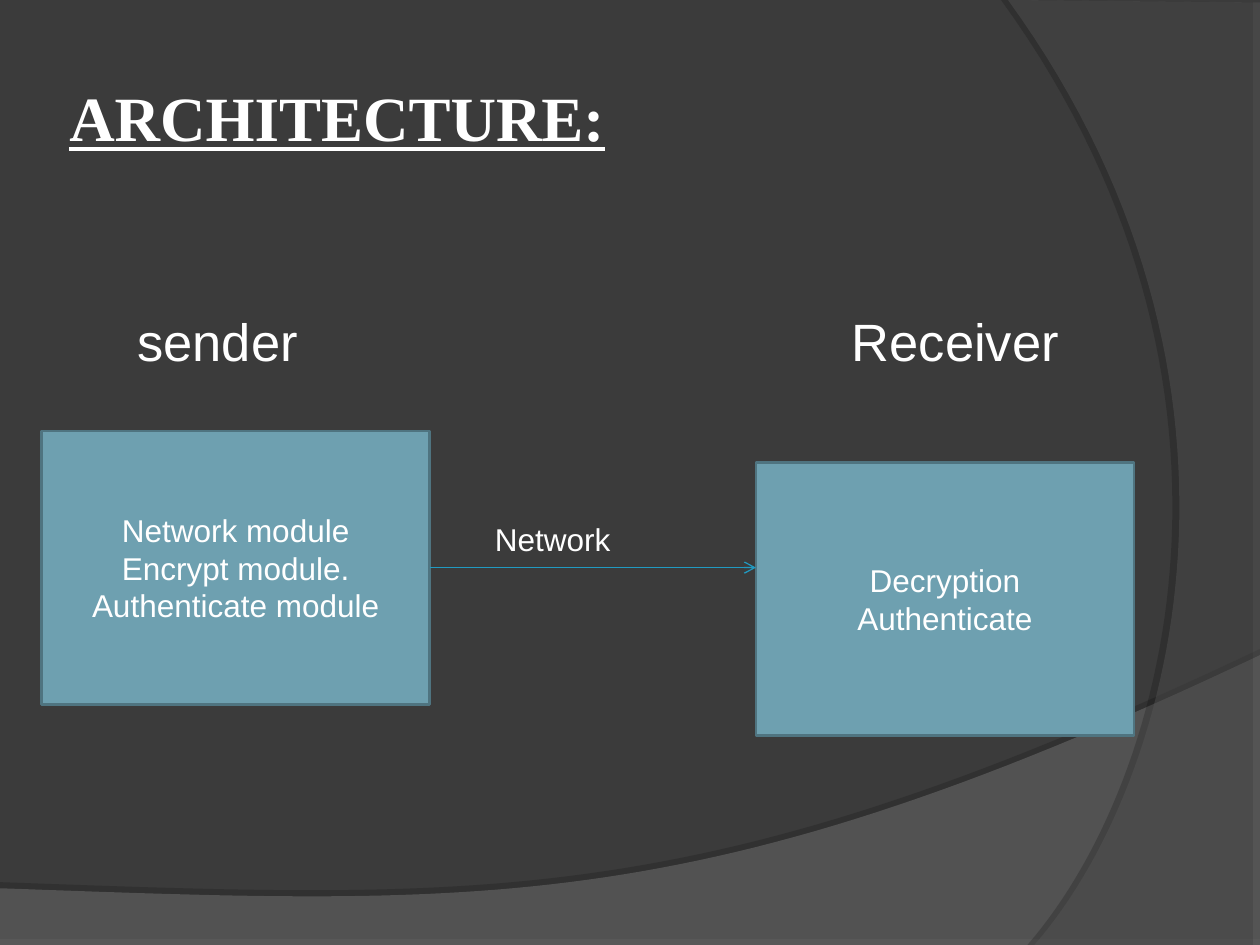
import pptx
import pptx.dml.color
import pptx.enum.shapes
import pptx.enum.text
import pptx.oxml
import pptx.oxml.ns
import pptx.util

Inches = pptx.util.Inches
Pt = pptx.util.Pt
RGBColor = pptx.dml.color.RGBColor
ALIGN = pptx.enum.text.PP_ALIGN
ANCHOR = pptx.enum.text.MSO_ANCHOR

BACKGROUND = RGBColor(0x3B, 0x3B, 0x3B)
LOWER_WAVE = RGBColor(0x7C, 0x7C, 0x7C)
RIGHT_ARC = RGBColor(0x59, 0x59, 0x59)
BOX_FILL = RGBColor(0x6E, 0xA0, 0xB0)
BOX_LINE = RGBColor(0x4F, 0x74, 0x80)
ARROW = RGBColor(0x21, 0x9A, 0xC1)
WHITE = RGBColor(0xFF, 0xFF, 0xFF)

# Content; places are left, top, width, height in inches
TITLE = ("ARCHITECTURE:", (0.5, 0.3, 8.17, 1.25))
HEADINGS = [("sender", (1.09, 2.45, 2, 0.5)), ("Receiver", (6.76, 2.45, 2, 0.5))]
SENDER = ("Network module\nEncrypt module.\nAuthenticate module", (0.33, 3.42, 3.08, 2.17))
RECEIVER = ("Decryption\nAuthenticate", (6, 3.67, 3, 2.17))
NETWORK = ("Network", (3.83, 4.08, 1.67, 0.4))

# Backdrop: curve control points, closing corners, fill, opacity, shadow
BACKDROPS = [
    {"curve": [(10, 5.2), (5.59, 7.29), (3.91, 7.19), (0, 7.05)],
     "corners": [(0, 7.5), (10, 7.5)], "color": LOWER_WAVE, "opacity": 45,
     "shadow_opacity": 35, "distance": 3.5, "direction": 270},
    {"curve": [(8.21, 7.5), (9.35, 6.19), (10.18, 3), (8, 0)],
     "corners": [(10, 0.02), (10, 7.5)], "color": RIGHT_ARC, "opacity": 40,
     "shadow_opacity": 45, "distance": 4, "direction": 180},
]


def add_xml(parent, tag, **attributes):
    child = pptx.oxml.parse_xml(f"<a:{tag} {pptx.oxml.ns.nsdecls('a')}/>")
    for key, value in attributes.items():
        child.set(key, str(value))
    parent.append(child)
    return child


def bezier(points, steps=60):
    for i in range(steps + 1):
        t = i / steps
        weights = ((1 - t) ** 3, 3 * t * (1 - t) ** 2, 3 * t * t * (1 - t), t ** 3)
        yield tuple(sum(w * p[axis] for w, p in zip(weights, points)) for axis in (0, 1))


def add_backdrop(slide, curve, corners, color, opacity, shadow_opacity, distance, direction):
    outline = [(Inches(x), Inches(y)) for x, y in [*bezier(curve), *corners]]
    builder = slide.shapes.build_freeform(*outline[0])
    builder.add_line_segments(outline[1:], close=True)
    backdrop = builder.convert_to_shape()
    backdrop.fill.solid()
    backdrop.fill.fore_color.rgb = color
    backdrop.line.fill.background()
    backdrop.shadow.inherit = False
    properties = backdrop._element.spPr
    fill_color = properties.find(".//" + pptx.oxml.ns.qn("a:srgbClr"))
    add_xml(fill_color, "alpha", val=opacity * 1000)
    effects = properties.find(pptx.oxml.ns.qn("a:effectLst"))
    shadow = add_xml(effects, "outerShdw", blurRad=0, dist=Pt(distance),
                     dir=direction * 60000, algn="ctr", rotWithShape=0)
    add_xml(add_xml(shadow, "srgbClr", val="000000"), "alpha", val=shadow_opacity * 1000)


def write(shape, text, size=18, font="Arial", align=ALIGN.LEFT, anchor=ANCHOR.TOP,
          insets=(0.1, 0.05), bold=False, underline=False):
    frame = shape.text_frame
    frame.word_wrap = True
    frame.vertical_anchor = anchor
    frame.margin_left = frame.margin_right = Inches(insets[0])
    frame.margin_top = frame.margin_bottom = Inches(insets[1])
    frame.text = text
    for paragraph in frame.paragraphs:
        paragraph.alignment = align
        for run in paragraph.runs:
            run.font.name = font
            run.font.size = Pt(size)
            run.font.bold = bold
            run.font.underline = underline
            run.font.color.rgb = WHITE


def add_label(slide, text, place, **text_format):
    write(slide.shapes.add_textbox(*map(Inches, place)), text, **text_format)


def add_box(slide, text, place):
    box = slide.shapes.add_shape(pptx.enum.shapes.MSO_SHAPE.RECTANGLE, *map(Inches, place))
    box.shadow.inherit = False
    box.fill.solid()
    box.fill.fore_color.rgb = BOX_FILL
    box.line.color.rgb = BOX_LINE
    box.line.width = Pt(1.5)
    write(box, text, align=ALIGN.CENTER, anchor=ANCHOR.MIDDLE)
    return box


def main():
    deck = pptx.Presentation()
    deck.slide_width, deck.slide_height = Inches(10), Inches(7.5)
    slide = deck.slides.add_slide(deck.slide_layouts[6])
    slide.background.fill.solid()
    slide.background.fill.fore_color.rgb = BACKGROUND

    for backdrop in BACKDROPS:
        add_backdrop(slide, **backdrop)

    # Title and column headings
    add_label(slide, *TITLE, size=36, font="Times New Roman", anchor=ANCHOR.MIDDLE,
              insets=(0.05, 0.05), bold=True, underline=True)
    for heading in HEADINGS:
        add_label(slide, *heading, size=30, insets=(0, 0))

    # Sender and receiver, joined by a level arrow
    sender = add_box(slide, *SENDER)
    receiver = add_box(slide, *RECEIVER)
    level = sender.top + sender.height // 2
    network = slide.shapes.add_connector(
        pptx.enum.shapes.MSO_CONNECTOR.STRAIGHT,
        sender.left + sender.width, level, receiver.left, level)
    network.begin_connect(sender, 3)
    network.line.color.rgb = ARROW
    network.line.width = Pt(0.75)
    add_xml(network.line._get_or_add_ln(), "tailEnd", type="arrow")
    add_xml(network._element.spPr, "effectLst")
    add_label(slide, *NETWORK)

    deck.save("out.pptx")


if __name__ == "__main__":
    main()
